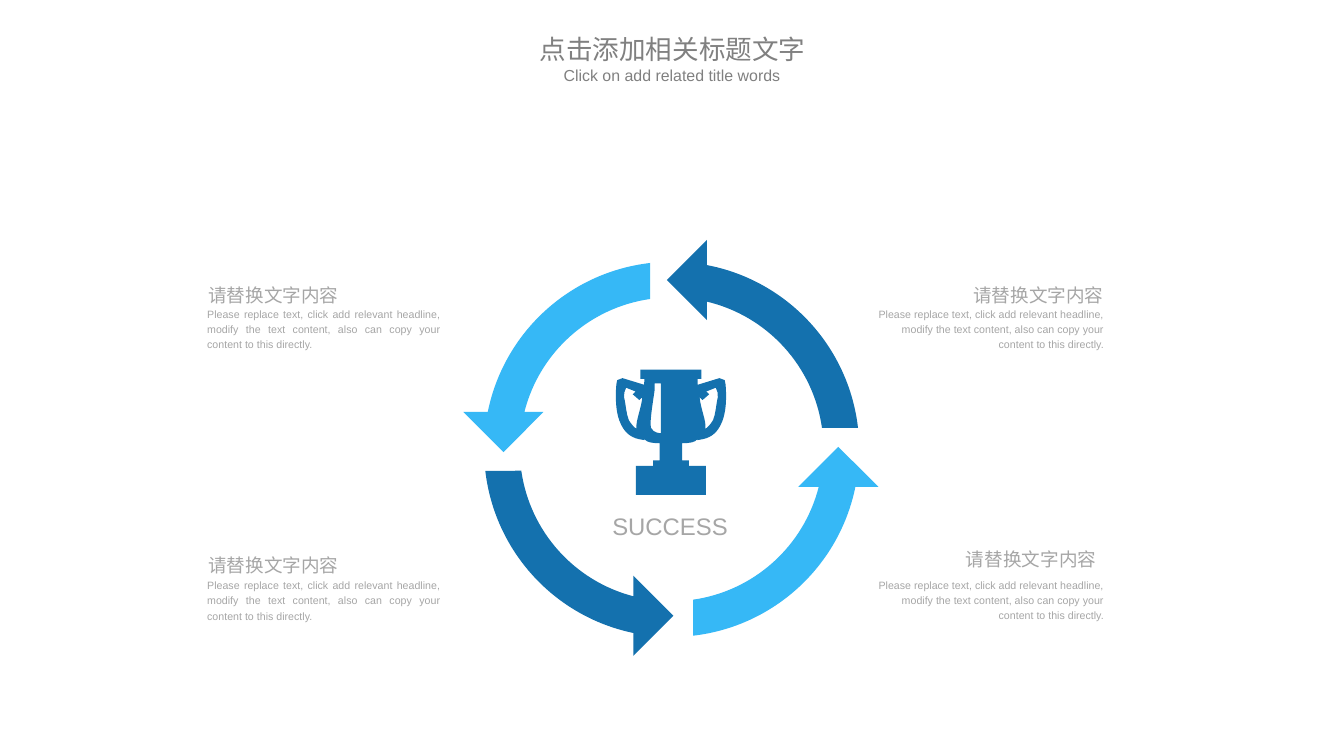
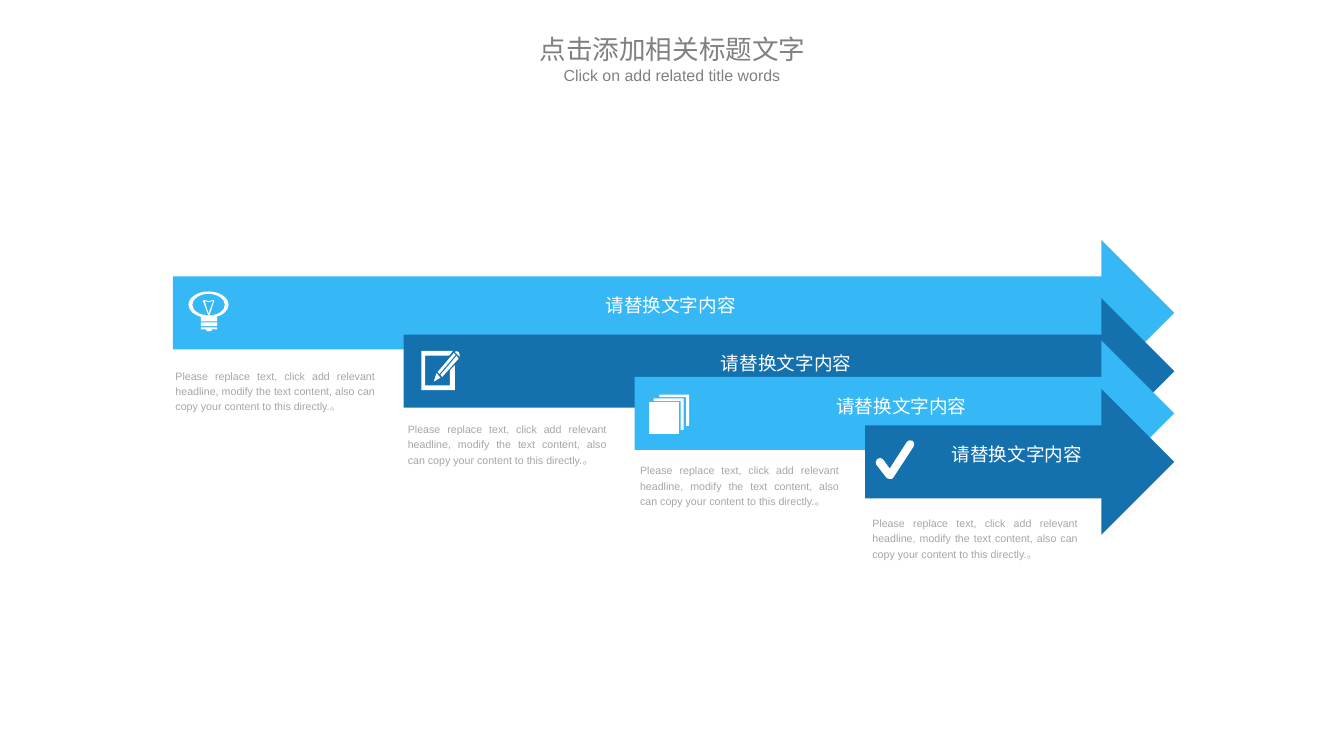
from dataclasses import dataclass
from math import acos, asin, cos, radians, sin, tan

from lxml import etree
from pptx import Presentation
from pptx.dml.color import RGBColor
from pptx.enum.shapes import MSO_SHAPE
from pptx.enum.text import MSO_ANCHOR, MSO_AUTO_SIZE, PP_ALIGN
from pptx.oxml.ns import qn
from pptx.util import Pt

LEFT, CENTER, RIGHT = PP_ALIGN.LEFT, PP_ALIGN.CENTER, PP_ALIGN.RIGHT
JUSTIFY = PP_ALIGN.JUSTIFY
MIDDLE = MSO_ANCHOR.MIDDLE
GROW = MSO_AUTO_SIZE.SHAPE_TO_FIT_TEXT
RECTANGLE = MSO_SHAPE.RECTANGLE


@dataclass(frozen=True)
class Theme:
    dark: str = "1471AE"
    light: str = "36B8F6"
    white: str = "FFFFFF"
    title: str = "808080"
    body: str = "A6A6A6"
    latin: str = "Arial"
    chinese: str = "Noto Sans CJK SC"
    title_size: int = 20
    subtitle_size: int = 12
    label_size: int = 18
    heading_size: int = 14
    body_size: int = 8


THEME = Theme()
SLIDE_SIZE = (1012.5, 569.5)

TITLE = "点击添加相关标题文字"
SUBTITLE = "Click on add related title words"
HEADING = "请替换文字内容"
BODY = ("Please replace text, click add relevant headline, modify the text "
        "content, also can copy your content to this directly.")

# Heading left and top, body left, top and width, alignments of both
CYCLE_NOTES = [
    ((149.8, 206.9), (149, 226.4, 190), LEFT, JUSTIFY),
    ((149.8, 410.4), (149, 430.8, 190), LEFT, JUSTIFY),
    ((719.3, 406), (653.8, 430.6, 185), RIGHT, RIGHT),
    ((724.8, 206.9), (653.8, 226.4, 185), RIGHT, RIGHT),
]

RING_CENTER = (506, 338.5)
# Colour, distance from the ring centre to the head's base and to its axis
RING_ARROWS = [
    (THEME.dark, 26.6, 127.5),
    (THEME.light, 28.1, 126.7),
    (THEME.dark, 28.9, 125.4),
    (THEME.light, 28.3, 125.6),
]

# Outlines: two numbers are a corner, six are a Bézier curve.
TROPHY_ORIGIN = (505.5, 278.4)
TROPHY_HALF = [
    (23, 0), (23, 7), (20, 7), (20.2, 11.5), (36.5, 6.5), (40.5, 8),
    (41.5, 11.5, 41.5, 16.5, 41.5, 21), (41.5, 27.5, 40.5, 35.5, 38, 40.5),
    (35.3, 46.8, 31, 51, 24, 52.5), (22.5, 53.2, 21.5, 53.2, 20, 53.2),
    (20, 52.5), (18, 55, 14, 55.5, 8.5, 55.5), (8.5, 68.4), (13.5, 68.4),
    (13.5, 72.7), (26.4, 72.7), (26.4, 94.4),
]
TROPHY_HANDLE = [
    (26, 44.6), (26.6, 38.2, 22.3, 29.5, 21.6, 20.9), (23.8, 23),
    (28.8, 18.7), (26.6, 16.6), (33.8, 13.7),
    (35.3, 15.8, 35.3, 18.7, 35.3, 20.9), (33.8, 27.4, 33.8, 33.1, 31.7, 38.2),
    (29.5, 41.8, 27.4, 43.9, 26, 44.6),
]
TROPHY_SHINE = [
    (-7.5, 10.5), (-7.5, 48), (-7.5, 48, -13, 48.2, -15, 44),
    (-16.5, 39.6, -12.2, 16.6, -12.2, 14.4), (-12.2, 10.5),
]

BULB = {
    "origin": (142, 219.6),
    "rects": [(9.4, 23.2, 12.2, 2.9)],
    "outlines": [
        [[(30.2, 10), (30.2, 4.5, 23.5, 0, 15.1, 0), (6.7, 0, 0, 4.5, 0, 10),
          (0, 14.4, 4.3, 18, 10, 19.2), (9.4, 19.4), (9.4, 22.5), (21.6, 22.5),
          (21.6, 19.4), (20.6, 19.2), (25.9, 18, 30.2, 14.4, 30.2, 10)],
         [(15.1, 18), (8.6, 18, 2.9, 14.5, 2.9, 10),
          (2.9, 5.5, 8.6, 1.8, 15.1, 1.8), (21.6, 1.8, 27.4, 5.5, 27.4, 10),
          (27.4, 14.5, 22.4, 18, 15.1, 18)]],
        [[(9.4, 27), (21.6, 27), (21.6, 28.6), (17.4, 28.6), (17.4, 29.8),
          (13.6, 29.8), (13.6, 28.6), (9.4, 28.6)]],
        [[(19.4, 7), (18.7, 6.5), (15.1, 7.3), (12.2, 6.5), (10.8, 7),
          (15, 18), (15.8, 18)],
         [(15.1, 16.6), (12.2, 7.2), (15.1, 8), (18.7, 7.2)]],
    ],
}
PENCIL = {
    "origin": (317.4, 263.7),
    "rects": [(14.3, 20.7, 0.2, 0.2)],
    "outlines": [
        [[(14.4, 20.9), (11.5, 17.3), (9.4, 23.8)]],
        [[(24.5, 2.2), (12.2, 16.6), (13.7, 18), (25.9, 3.6)]],
        [[(14.4, 18.7), (15.8, 20.2), (28.1, 6.5), (26.6, 4.3)]],
        [[(28.1, 1.4), (27.4, 0, 25.2, 1.4, 25.2, 1.4), (28.8, 5),
          (28.8, 5, 29.5, 3.6, 28.1, 1.4)]],
        [[(21.6, 26.6), (2.9, 26.6), (2.9, 4.3), (20.9, 4.3), (23.8, 0.7),
          (0, 0.7), (0, 30.2), (25.2, 30.2), (25.2, 11.5), (21.6, 15.1)]],
    ],
}
PAGES = {
    "origin": (488.9, 297.2),
    "rects": [],
    "outlines": [
        [[(3.6, 5), (23.8, 5), (23.8, 26.6), (26.2, 26.6), (26.2, 2.9),
          (3.6, 2.9)]],
        [[(7.9, 0), (7.9, 1.9), (28.1, 1.9), (28.1, 23.6), (30.2, 23.6),
          (30.2, 0)]],
        [[(0, 6), (0, 29.8), (22.5, 29.8), (22.5, 6)]],
    ],
}
CHECK = {
    "origin": (659.5, 331.4),
    "rects": [],
    "outlines": [
        [[(10.8, 29.5), (10.1, 29.5, 9.4, 29.3, 8.6, 28.8), (0.7, 18.7),
          (0, 17.3, 0, 15.8, 1.4, 14.4), (2.9, 13.2, 5, 13.2, 6, 15),
          (10.8, 21.6), (23.8, 1.4), (24.5, 0, 26.6, 0, 28.1, 0.7),
          (29.5, 1.4, 29.5, 3.6, 28.8, 5), (13.7, 28.1),
          (13, 29.5, 12.2, 29.5, 10.8, 29.5)]],
    ],
}

# Arrow top, colour, caption top and width, icon
STEPS = [
    (180.7, THEME.light, 272.9, 166.4, BULB),
    (224.6, THEME.dark, 313.3, 165.8, PENCIL),
    (256.4, THEME.light, 344.2, 165.8, PAGES),
    (293, THEME.dark, 384.1, 170.8, CHECK),
]
ARROW_LEFT, ARROW_STEP = 130.3, 173.85
HEAD_LEFT, TIP_X = 829.7, 884.7
ARROW_HEIGHT, SHAFT_TOP = 110, 27.5
ARROW_INSETS = (42.8, 29.5, 47.2, 44.6)
CAPTION_LEFT, CAPTION_STEP = 124.3, 175


def rgb(color):
    return RGBColor.from_string(color)


def finish(shape, color):
    shape.shadow.inherit = False
    shape.fill.solid()
    shape.fill.fore_color.rgb = rgb(color)
    shape.line.fill.background()
    return shape


def write(shape, text, size, color, align, spacing=1.2, after=0,
          insets=(7.2, 3.6, 7.2, 3.6), **frame_format):
    frame = shape.text_frame
    sides = ("margin_left", "margin_top", "margin_right", "margin_bottom")
    for side, inset in zip(sides, insets):
        setattr(frame, side, Pt(inset))
    for name, value in {"word_wrap": True, **frame_format}.items():
        setattr(frame, name, value)
    paragraph = frame.paragraphs[0]
    paragraph.alignment = align
    paragraph.line_spacing = spacing
    paragraph.space_after = Pt(after)
    run = paragraph.add_run()
    run.text = text
    run.font.size = Pt(size)
    run.font.color.rgb = rgb(color)
    run.font.name = THEME.latin
    etree.SubElement(run.font._element, qn("a:ea"), typeface=THEME.chinese)


def add_text(slide, box, *content, **text_format):
    write(slide.shapes.add_textbox(*map(Pt, box)), *content, **text_format)


def bend(shape, items):
    """Turn the straight segments that stand for curves into Bézier curves."""
    segments = shape._element.iter(qn("a:moveTo"), qn("a:lnTo"))
    for segment, item in zip(list(segments), items):
        if len(item) == 2:
            continue
        segment.tag = qn("a:cubicBezTo")
        segment.clear()
        for x, y in zip(item[::2], item[1::2]):
            etree.SubElement(segment, qn("a:pt"), x=str(x - shape.left),
                             y=str(y - shape.top))


def add_outline(slide, origin, contours, color):
    placed = [[tuple(Pt(origin[i % 2] + value) for i, value in enumerate(item))
               for item in contour] for contour in contours]
    builder = slide.shapes.build_freeform(*placed[0][0])
    for index, contour in enumerate(placed):
        if index:
            builder.move_to(*contour[0])
        builder.add_line_segments([item[-2:] for item in contour[1:]], close=False)
        if contour[-1][-2:] != contour[0]:
            builder.add_line_segments([contour[0]], close=False)
            contour.append(contour[0])
    shape = builder.convert_to_shape()
    bend(shape, [item for contour in placed for item in contour])
    return finish(shape, color)


def mirror(outline):
    """Reflect an outline left to right and run through it backwards."""
    flipped = [tuple(-v if i % 2 == 0 else v for i, v in enumerate(item))
               for item in outline]
    result = [flipped[-1][-2:]]
    for item, before in zip(flipped[:0:-1], flipped[-2::-1]):
        result.append(item[2:4] + item[:2] + before[-2:]
                      if len(item) == 6 else before[-2:])
    return result


def arc(radius, start, end):
    """One Bézier curve along a circle, after its starting corner."""
    pull = 4 / 3 * tan((end - start) / 4)
    (x1, y1), (x2, y2) = [(radius * cos(a), -radius * sin(a))
                          for a in (start, end)]
    return [(x1, y1), (x1 + pull * y1, y1 - pull * x1,
                       x2 - pull * y2, y2 + pull * x2, x2, y2)]


def ring_arrow(head_x, axis):
    """Upper right arrow of the ring, around the point (0, 0)."""
    outer, inner, head_half = 141.3, 114.4, 30.2
    tail_y = 16.2
    return (arc(outer, asin(tail_y / outer), acos(head_x / outer))
            + [(head_x, head_half * -1 - axis), (head_x - head_half, -axis),
               (head_x, head_half - axis)]
            + arc(inner, acos(head_x / inner), radians(8.1)))


def quarter_turn(outline):
    return [tuple(value for x, y in zip(item[::2], item[1::2])
                  for value in (y, -x)) for item in outline]


def add_icon(slide, icon):
    left, top = icon["origin"]
    for x, y, width, height in icon["rects"]:
        box = map(Pt, (left + x, top + y, width, height))
        finish(slide.shapes.add_shape(RECTANGLE, *box), THEME.white)
    for contours in icon["outlines"]:
        add_outline(slide, icon["origin"], contours, THEME.white)


def add_titles(slide):
    style = {"spacing": 1.0, "after": 6}
    add_text(slide, (386.1, 20.9, 241.2, 29.5), TITLE, THEME.title_size,
             THEME.title, CENTER, **style)
    add_text(slide, (414.9, 46.1, 182.9, 29.5), SUBTITLE, THEME.subtitle_size,
             THEME.title, CENTER, **style)


def build_cycle(slide):
    for turns, (color, head_x, axis) in enumerate(RING_ARROWS):
        arrow = ring_arrow(head_x, axis)
        for _ in range(turns):
            arrow = quarter_turn(arrow)
        add_outline(slide, RING_CENTER, [arrow], color)

    add_outline(slide, TROPHY_ORIGIN,
                [TROPHY_HALF + mirror(TROPHY_HALF), TROPHY_HANDLE,
                 mirror(TROPHY_HANDLE), TROPHY_SHINE], THEME.dark)
    add_text(slide, (454.2, 377.3, 102.2, 31), "SUCCESS", THEME.label_size,
             THEME.body, JUSTIFY, word_wrap=False, auto_size=GROW)

    for heading_at, (left, top, width), heading_align, body_align in CYCLE_NOTES:
        add_text(slide, (*heading_at, 113.8, 25.9), HEADING, THEME.heading_size,
                 THEME.body, heading_align, word_wrap=False, auto_size=GROW)
        add_text(slide, (left, top, width, 41), BODY, THEME.body_size,
                 THEME.body, body_align, auto_size=GROW)


def build_steps(slide):
    for index, (_, _, top, width, _) in enumerate(STEPS):
        left = CAPTION_LEFT + index * CAPTION_STEP
        add_text(slide, (left, top, width, 41.8), BODY + "。", THEME.body_size,
                 THEME.body, JUSTIFY, insets=(7.9, 3.6, 7.9, 3.6),
                 auto_size=GROW)
    shaft_bottom = ARROW_HEIGHT - SHAFT_TOP
    for index, (top, color, _, _, _) in enumerate(STEPS):
        left = ARROW_LEFT + index * ARROW_STEP
        head, tip = HEAD_LEFT - left, TIP_X - left
        outline = [(0, SHAFT_TOP), (head, SHAFT_TOP), (head, 0),
                   (tip, ARROW_HEIGHT / 2), (head, ARROW_HEIGHT),
                   (head, shaft_bottom), (0, shaft_bottom)]
        arrow = add_outline(slide, (left, top), [outline], color)
        write(arrow, HEADING, THEME.heading_size, THEME.white, CENTER,
              insets=ARROW_INSETS, vertical_anchor=MIDDLE)
    for *_, icon in STEPS:
        add_icon(slide, icon)


def main():
    deck = Presentation()
    deck.slide_width, deck.slide_height = map(Pt, SLIDE_SIZE)
    for build in (build_cycle, build_steps):
        slide = deck.slides.add_slide(deck.slide_layouts[6])
        build(slide)
        add_titles(slide)
    deck.save("out.pptx")


if __name__ == "__main__":
    main()
